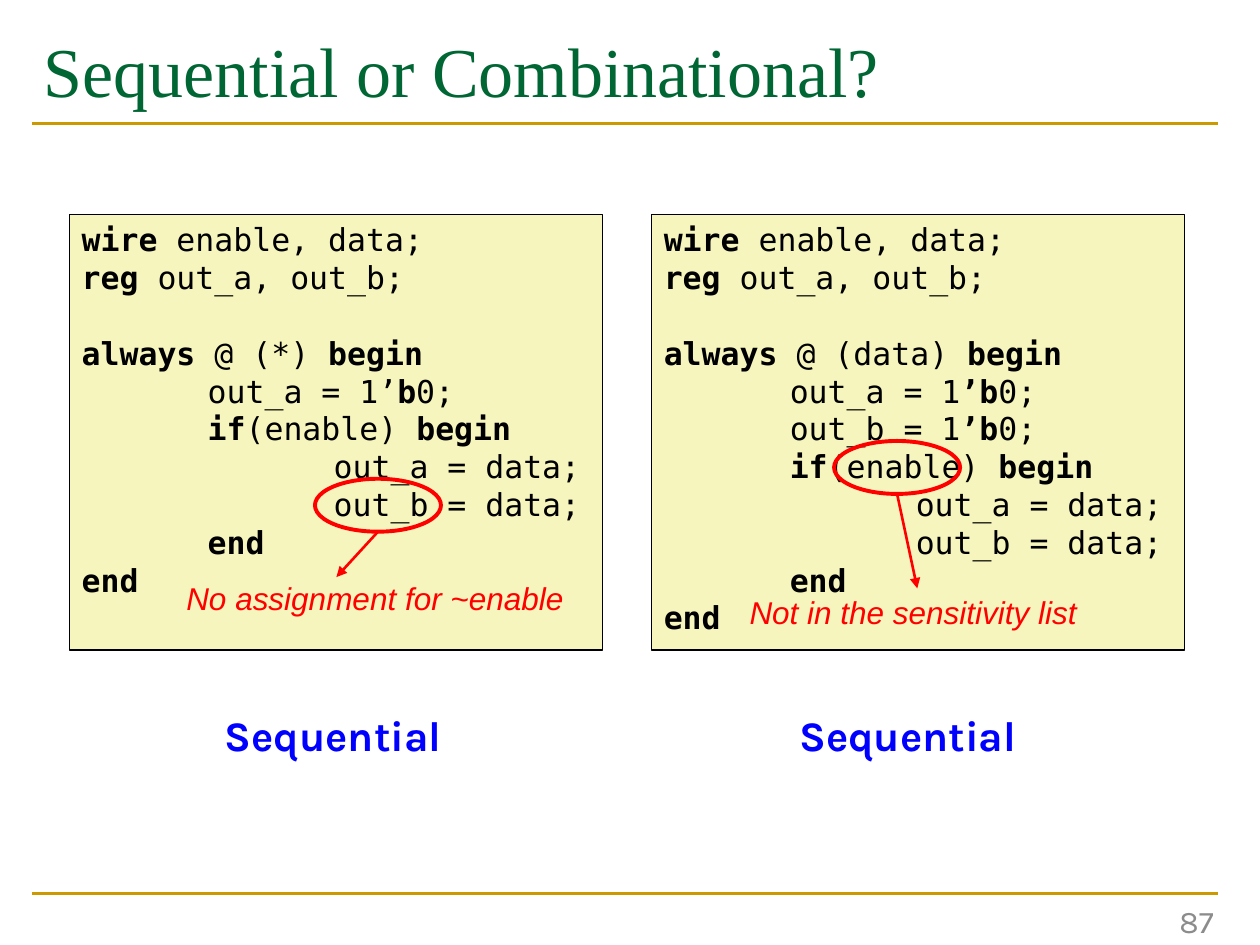
"""Build a slide asking whether two Verilog blocks are sequential or combinational."""
import pptx
import pptx.util
import pptx.dml.color
import pptx.enum.shapes
import pptx.enum.text
import pptx.oxml
import pptx.oxml.ns
from pptx.util import Inches

TITLE = "Sequential or Combinational?"
PAGE = "87"
PANELS = [
    dict(left=0.55, answer="Sequential", answer_left=0.61,
         code=["|wire| enable, data;", "|reg| out_a, out_b;", "",
               "|always| @ (*) |begin|", "\tout_a = 1’|b|0;",
               "\t|if|(enable) |begin|", "\t\tout_a = data;",
               "\t\tout_b = data;", "\t|end|", "|end|"],
         ring=(2.5, 3.8), tip=(2.67, 4.58),
         note="No assignment for ~enable", note_at=(1.38, 4.55)),
    dict(left=5.17, answer="Sequential", answer_left=5.17,
         code=["|wire| enable, data;", "|reg| out_a, out_b;", "",
               "|always| @ (data) |begin|", "\tout_a = 1|’b|0;",
               "\tout_b = 1|’b|0;", "\t|if|(enable) |begin|",
               "\t\tout_a = data;", "\t\tout_b = data;", "\t|end|", "|end|"],
         ring=(6.62, 3.5), tip=(7.28, 4.67),
         note="Not in the sensitivity list", note_at=(5.85, 4.66)),
]
THEME = dict(
    gold="CC9900", panel="F6F5BD", black="000000", red="FF0000",
    title=dict(font="Times New Roman", size=40, color="006633"),
    code=dict(font="DejaVu Sans Mono", size=18, color="000000", spacing=21.6, tab=1),
    note=dict(font="Arial", size=18, color="FF0000", italic=True),
    answer=dict(font="Karla", size=24, color="0000FF", bold=True, align="CENTER"),
    page=dict(font="Karla", size=18, color="8C8C8C", align="RIGHT", anchor="MIDDLE"),
)
RULE_X, RULE_YS = (0.25, 9.67), (0.98, 7.09)
PANEL_TOP, PANEL_W, PANEL_H = 1.7, 4.23, 3.46
RING_W, RING_H = 1, 0.42


def rgb(value):
    return pptx.dml.color.RGBColor.from_string(value)


def write(s, lines, font, size, color, bold=False, italic=False,
          align="LEFT", anchor="TOP", spacing=None, tab=None):
    tf = s.text_frame
    tf.word_wrap = True
    tf.vertical_anchor = getattr(pptx.enum.text.MSO_ANCHOR, anchor)
    for i, line in enumerate(lines):
        p = tf.add_paragraph() if i else tf.paragraphs[0]
        p.alignment = getattr(pptx.enum.text.PP_ALIGN, align)
        if tab:
            p._p.get_or_add_pPr().set("defTabSz", str(Inches(tab)))
        p.font.size = pptx.util.Pt(size)
        if spacing:
            p.line_spacing = pptx.util.Pt(spacing)
        for j, part in enumerate(line.split("|")):
            if part:
                r = p.add_run()
                r.text = part
                r.font.name, r.font.size = font, pptx.util.Pt(size)
                r.font.bold, r.font.italic = bold or j % 2 == 1, italic
                r.font.color.rgb = rgb(color)


def add_text(slide, box, text, **style):
    write(slide.shapes.add_textbox(*map(Inches, box)), [text], **style)


def add_shape(slide, kind, box, line, width, fill=None):
    s = slide.shapes.add_shape(getattr(pptx.enum.shapes.MSO_SHAPE, kind), *map(Inches, box))
    s.shadow.inherit = False
    if fill:
        s.fill.solid()
        s.fill.fore_color.rgb = rgb(fill)
    else:
        s.fill.background()
    s.line.color.rgb, s.line.width = rgb(line), pptx.util.Pt(width)
    return s


def add_line(slide, start, end, color, arrow=False):
    c = slide.shapes.add_connector(pptx.enum.shapes.MSO_CONNECTOR.STRAIGHT,
                                   *map(Inches, start + end))
    c.line.color.rgb, c.line.width = rgb(color), pptx.util.Pt(1.5)
    sp_pr = c._element.spPr
    if arrow:
        tail = pptx.oxml.parse_xml(
            f'<a:tailEnd {pptx.oxml.ns.nsdecls("a")} type="triangle"/>')
        sp_pr.find(pptx.oxml.ns.qn("a:ln")).append(tail)
    sp_pr.append(pptx.oxml.parse_xml(f'<a:effectLst {pptx.oxml.ns.nsdecls("a")}/>'))


def add_panel(slide, panel):
    box = (panel["left"], PANEL_TOP, PANEL_W, PANEL_H)
    s = add_shape(slide, "RECTANGLE", box, THEME["black"], 0.75, THEME["panel"])
    write(s, panel["code"], **THEME["code"])
    add_text(slide, (panel["answer_left"], 5.58, 4.07, 0.5), panel["answer"], **THEME["answer"])
    x, y = panel["ring"]
    add_shape(slide, "OVAL", (x, y, RING_W, RING_H), THEME["red"], 2.25)
    add_line(slide, (x + RING_W / 2, y + RING_H), panel["tip"], THEME["red"], arrow=True)
    add_text(slide, panel["note_at"] + (3.25, 0.4), panel["note"], **THEME["note"])


def main():
    prs = pptx.Presentation()
    prs.slide_width, prs.slide_height = Inches(10), Inches(7.5)
    slide = prs.slides.add_slide(prs.slide_layouts[6])
    for y in RULE_YS:
        add_line(slide, (RULE_X[0], y), (RULE_X[1], y), THEME["gold"])
    add_text(slide, (7.48, 7.11, 2.25, 0.4), PAGE, **THEME["page"])
    add_text(slide, (0.25, 0.17, 9.42, 1.17), TITLE, **THEME["title"])
    for panel in PANELS:
        add_panel(slide, panel)
    prs.save("out.pptx")


if __name__ == "__main__":
    main()
